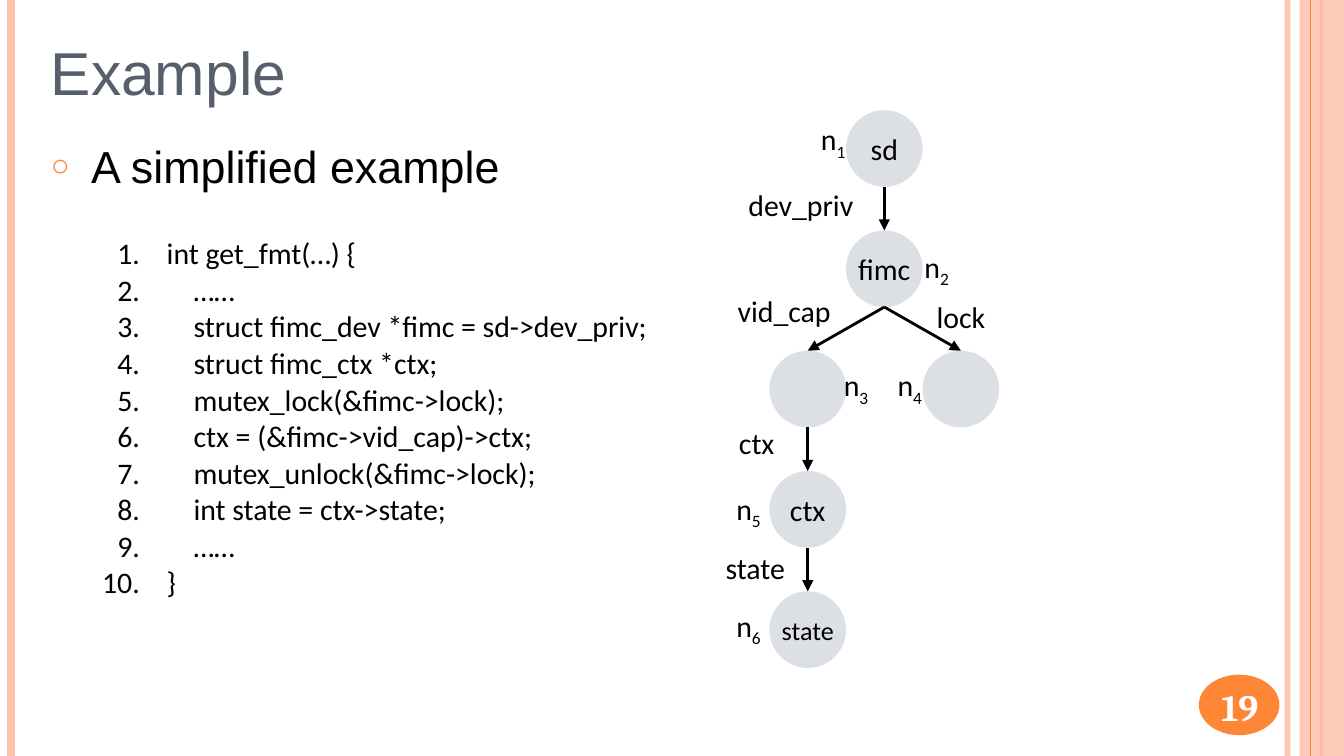
import pptx
import pptx.util
import pptx.dml.color
import pptx.enum.shapes
import pptx.enum.text
import pptx.oxml
import pptx.oxml.ns
from pptx.util import Inches

SLIDE_WIDTH = 10
SLIDE_HEIGHT = SLIDE_WIDTH * 9 / 16
ORANGE, PEACH, GRAY, BLACK, WHITE = "FE8637", "FEC3AE", "DCDFE3", "000000", "FFFFFF"
ALIGN = pptx.enum.text.PP_ALIGN
ANCHOR = pptx.enum.text.MSO_ANCHOR
SHAPES = pptx.enum.shapes.MSO_SHAPE

CODE = [
    "int get_fmt(…) {",
    "    ……",
    "    struct fimc_dev *fimc = sd->dev_priv;",
    "    struct fimc_ctx *ctx;",
    "    mutex_lock(&fimc->lock);",
    "    ctx = (&fimc->vid_cap)->ctx;",
    "    mutex_unlock(&fimc->lock);",
    "    int state = ctx->state;",
    "    ……",
    "}",
]


def color(value):
    """Turn a hex string into a colour."""
    return pptx.dml.color.RGBColor.from_string(value)


def add_child(parent, tag, **attributes):
    """Append an empty DrawingML element and return it."""
    child = pptx.oxml.parse_xml(f"<{tag} {pptx.oxml.ns.nsdecls('a')}/>")
    for name, value in attributes.items():
        child.set(name, value)
    parent.append(child)
    return child


def set_alpha(element, percent):
    """Make the first solid colour inside an element partly transparent."""
    fill_color = element.find(".//" + pptx.oxml.ns.qn("a:srgbClr"))
    add_child(fill_color, "a:alpha", val=str(percent * 1000))


def style_font(paragraph, size, name="Calibri", font_color=BLACK, bold=False):
    """Set the font of a whole paragraph."""
    paragraph.font.size = pptx.util.Pt(size)
    paragraph.font.name = name
    paragraph.font.color.rgb = color(font_color)
    paragraph.font.bold = bold


def add_shape(slide, kind, box, fill):
    """Add a flat shape without an outline."""
    shape = slide.shapes.add_shape(kind, *map(Inches, box))
    shape.shadow.inherit = False
    shape.fill.solid()
    shape.fill.fore_color.rgb = color(fill)
    shape.line.fill.background()
    return shape


def add_line(slide, start, end, line_color, width, arrow=False):
    """Add a straight line, with an arrowhead at its end if asked."""
    connector = slide.shapes.add_connector(
        pptx.enum.shapes.MSO_CONNECTOR.STRAIGHT, *map(Inches, (*start, *end)))
    connector.line.color.rgb = color(line_color)
    connector.line.width = pptx.util.Pt(width)
    if arrow:
        add_child(connector.line._get_or_add_ln(), "a:tailEnd", type="triangle")
    add_child(connector._element.spPr, "a:effectLst")
    return connector


def add_text(slide, box, text, anchor=ANCHOR.TOP):
    """Add a wrapping text box and return its paragraph."""
    frame = slide.shapes.add_textbox(*map(Inches, box)).text_frame
    frame.word_wrap = True
    frame.vertical_anchor = anchor
    paragraph = frame.paragraphs[0]
    paragraph.text = text
    return paragraph


def add_label(slide, box, text, subscript=""):
    """Add a label that fits its text, with an optional subscript."""
    paragraph = add_text(slide, box, text)
    if subscript:
        run = paragraph.add_run()
        run.text = subscript
        run._r.get_or_add_rPr().set("baseline", "-25000")
    style_font(paragraph, 16)
    frame = slide.shapes[-1].text_frame
    frame.word_wrap = False
    frame.auto_size = pptx.enum.text.MSO_AUTO_SIZE.SHAPE_TO_FIT_TEXT


def add_frame(slide, box):
    """Draw the vertical stripes along both sides of the slide."""
    left, top, width, height = box
    right, bottom = left + width, top + height

    def stripe(x, line_color, line_width):
        return add_line(slide, (x, top), (x, bottom), line_color, line_width)

    set_alpha(stripe(right - 0.42, PEACH, 3)._element.spPr, 93)
    stripe(left + 0.08, PEACH, 4.5)
    stripe(right - 0.17, ORANGE, 1.5)
    band = add_shape(slide, SHAPES.RECTANGLE, (right - 0.33, top, 0.33, height), PEACH)
    set_alpha(band._element.spPr, 87)
    stripe(right - 0.25, ORANGE, 0.75)


def add_page_number(slide, box, number):
    """Draw the page number on its oval badge."""
    left, top, width, height = box
    add_shape(slide, SHAPES.OVAL, box, ORANGE)
    paragraph = add_text(slide, (left - 0.03, top + 0.02, width + 0.07, height - 0.02),
                         number, ANCHOR.MIDDLE)
    paragraph.alignment = ALIGN.CENTER
    style_font(paragraph, 20, "Cambria", WHITE, True)


def add_heading(slide, box, title, bullet):
    """Write the title and the bulleted line below it."""
    left, top, width, height = box
    paragraph = add_text(slide, (left, top, width, 0.64), title, ANCHOR.BOTTOM)
    style_font(paragraph, 32.4, "Arial", "575F6D")
    paragraph = add_text(slide, (left, top + 0.77, 4.33, height - 0.77), bullet)
    properties = paragraph._p.get_or_add_pPr()
    properties.set("marL", str(Inches(0.3)))
    properties.set("indent", str(Inches(-0.3)))
    add_child(add_child(properties, "a:buClr"), "a:srgbClr", val=ORANGE)
    add_child(properties, "a:buSzPct", val="70000")
    add_child(properties, "a:buFont", typeface="Arial")
    add_child(properties, "a:buChar", char="○")
    style_font(paragraph, 24, "Arial")


def add_code(slide, box, lines):
    """Write numbered code lines in a two-column table."""
    table = slide.shapes.add_table(1, 2, *map(Inches, box)).table
    table.first_row = table.horz_banding = False
    numbers = [f"{number}." for number in range(1, len(lines) + 1)]
    columns = [(0.55, numbers, ALIGN.RIGHT), (box[2] - 0.55, lines, ALIGN.LEFT)]
    for index, (width, texts, alignment) in enumerate(columns):
        table.columns[index].width = Inches(width)
        cell = table.cell(0, index)
        cell.fill.background()
        cell.text = "\n".join(texts)
        for paragraph in cell.text_frame.paragraphs:
            paragraph.alignment = alignment
            style_font(paragraph, 16)


def add_graph(slide, box):
    """Draw the graph of nodes, arrows and labels."""
    left, top, _, height = box
    size = 0.57
    pitch = (height - size) / 4
    nodes = {
        "1": (1, 0, "sd", 16, (0.71, 0.03)),
        "2": (1, 1, "fimc", 16, (1.48, 0.98)),
        "3": (0, 2, "", 16, (0.88, 1.86)),
        "4": (2, 2, "", 16, (1.28, 1.86)),
        "5": (0, 3, "ctx", 16, (0.08, 2.78)),
        "6": (0, 4, "state", 14, (0.08, 3.65)),
    }
    edges = [
        ("1", "2", "dev_priv", (0.17, 0.52, 1.02)),
        ("2", "3", "vid_cap", (0.09, 1.31, 0.9)),
        ("2", "4", "lock", (1.57, 1.35, 0.57)),
        ("3", "5", "ctx", (0.1, 2.29, 0.47)),
        ("5", "6", "state", (0, 3.22, 0.65)),
    ]
    tops = {}
    for name, (column, level, text, font_size, _) in nodes.items():
        center, node_top = left + 0.71 + column * size, top + level * pitch
        tops[name] = center, node_top
        node = add_shape(slide, SHAPES.OVAL,
                         (center - size / 2, node_top, size, size), GRAY)
        if text:
            frame = node.text_frame
            frame.margin_left = frame.margin_right = 0
            frame.margin_top = frame.margin_bottom = 0
            frame.vertical_anchor = ANCHOR.MIDDLE
            paragraph = frame.paragraphs[0]
            paragraph.text = text
            paragraph.alignment = ALIGN.CENTER
            style_font(paragraph, font_size)
    for name, (*_, (x, y)) in nodes.items():
        add_label(slide, (left + x, top + y, 0.39, 0.37), "n", name)
    for source, target, text, (x, y, width) in edges:
        start_x, start_y = tops[source]
        add_line(slide, (start_x, start_y + size), tops[target], BLACK, 1.5, True)
        add_label(slide, (left + x, top + y, width, 0.37), text)


def main():
    """Build the slide and save it."""
    presentation = pptx.Presentation()
    presentation.slide_width = Inches(SLIDE_WIDTH)
    presentation.slide_height = Inches(SLIDE_HEIGHT)
    slide = presentation.slides.add_slide(presentation.slide_layouts[6])
    add_frame(slide, (0, 0, SLIDE_WIDTH, SLIDE_HEIGHT))
    add_page_number(slide, (8.92, 5.02, 0.6, 0.45), "19")
    add_heading(slide, (0.28, 0.21, 9.21, 1.34), "Example", "A simplified example")
    add_code(slide, (0.59, 1.71, 4.33, 2.77), CODE)
    add_graph(slide, (5.3, 0.82, 2.14, 4.15))
    presentation.save("out.pptx")


if __name__ == "__main__":
    main()
